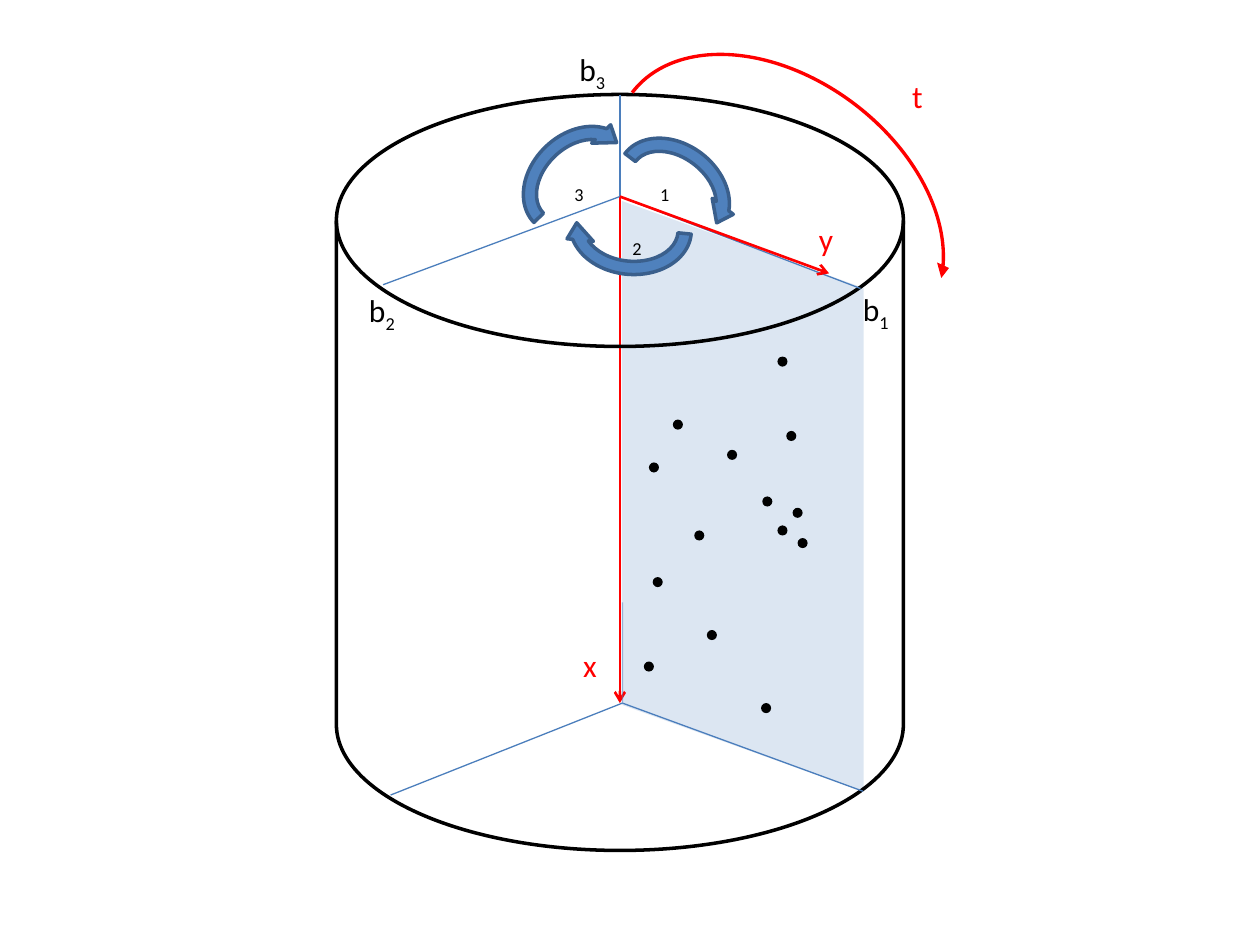
"""Build a slide with a cylinder split by three planes, its axes and its rotation."""
import lxml.etree
import pptx
import pptx.dml.color
import pptx.enum.shapes
import pptx.enum.text
import pptx.oxml.ns
import pptx.util

SHAPE = pptx.enum.shapes.MSO_SHAPE
PX = 9144
THEME = {
    "font": "Calibri", "size": 18,
    "black": "000000", "red": "FF0000", "plane": "95B3D7",
    "blue": "4F81BD", "blue_edge": "3A5F8C", "line": "4B7EBC",
    "outline_pt": 2, "axis_pt": 1.5, "line_pt": 0.75,
}

TOP, BOTTOM = (492, 156), (494, 558)
X_AXIS = (TOP, (492, 558))
Y_AXIS = (TOP, (658, 217))
PLANE = (355, 298, 469, 192)
CYLINDER = (267, 75, 450, 600)
TOP_LINES = [(TOP, (683, 229)), ((492, 75), TOP), ((304, 226), TOP)]
BASE_LINES = [(BOTTOM, (685, 628)), ((310, 631), BOTTOM)]
HIDDEN_LINE = ((494, 478), BOTTOM)
TURN_SIZE = (107, 84)
TURNS = [(481, 109, 37.1), (447, 139, 185.7), (405, 101, 316)]
TIME_ARROW = (467, 57, 302, 209)
TIME_ANGLE = 37.1
TIME_ADJUST = [0.013, 2.414, 206.08, 108, 0.025]
DOT = 8
DOTS = [
    (629, 403), (534, 333), (518, 458), (633, 427), (577, 357), (617, 283), (617, 417),
    (605, 394), (561, 500), (604, 558), (515, 367), (511, 525), (551, 421), (624, 342),
]
LABELS = [
    ("", "1", (514, 124, 29, 30), "black"),
    ("", "3", (446, 124, 29, 30), "black"),
    ("y", "", (640, 170, 32, 40), "red"),
    ("x", "", (453, 508, 31, 40), "red"),
    ("t", "", (714, 56, 29, 40), "red"),
    ("b", "1", (675, 225, 42, 40), "black"),
    ("", "2", (492, 167, 29, 30), "black"),
    ("b", "2", (283, 226, 42, 40), "black"),
    ("b", "3", (450, 35, 42, 40), "black"),
]


def emu(values):
    return [pptx.util.Emu(v * PX) for v in values]


def rgb(name):
    return pptx.dml.color.RGBColor.from_string(THEME[name])


def add_xml(parent, tag, **attributes):
    lxml.etree.SubElement(parent, pptx.oxml.ns.qn(tag), **attributes)


def set_alpha(parent, percent):
    color = next(parent.iter(pptx.oxml.ns.qn("a:srgbClr")))
    add_xml(color, "a:alpha", val=str(percent * 1000))


def add_shape(s, kind, box, fill=None, edge=None, angle=0, adjust=()):
    sp = s.shapes.add_shape(kind, *emu(box))
    sp.shadow.inherit = False
    sp.rotation = angle
    for i, value in enumerate(adjust):
        sp.adjustments[i] = value
    if fill:
        sp.fill.solid()
        sp.fill.fore_color.rgb = rgb(fill)
    else:
        sp.fill.background()
    if edge:
        sp.line.color.rgb = rgb(edge)
        sp.line.width = pptx.util.Pt(THEME["outline_pt"])
    else:
        sp.line.fill.background()
    return sp


def add_line(s, ends, color="line", width="line_pt", arrow=False):
    start, end = ends
    line = s.shapes.add_connector(
        pptx.enum.shapes.MSO_CONNECTOR.STRAIGHT, *emu(start + end))
    line.line.color.rgb = rgb(color)
    line.line.width = pptx.util.Pt(THEME[width])
    if arrow:
        add_xml(line.line._get_or_add_ln(), "a:tailEnd", type="arrow")
    add_xml(line._element.spPr, "a:effectLst")
    return line


def add_label(s, base, subscript, box, color):
    tf = s.shapes.add_textbox(*emu(box)).text_frame
    tf.word_wrap = False
    tf.auto_size = pptx.enum.text.MSO_AUTO_SIZE.SHAPE_TO_FIT_TEXT
    p = tf.paragraphs[0]
    p.font.name = THEME["font"]
    p.font.size = pptx.util.Pt(THEME["size"])
    p.font.color.rgb = rgb(color)
    if base:
        p.add_run().text = base
    if subscript:
        r = p.add_run()
        r.text = subscript
        r._r.get_or_add_rPr().set("baseline", "-25000")


def main():
    prs = pptx.Presentation()
    prs.slide_width, prs.slide_height = emu((1000, 750))
    s = prs.slides.add_slide(prs.slide_layouts[6])

    plane = add_shape(s, SHAPE.PARALLELOGRAM, PLANE, "plane", angle=90, adjust=[0.36])
    set_alpha(plane._element, 32)
    add_line(s, X_AXIS, "red", "axis_pt", arrow=True)
    add_shape(s, SHAPE.FLOWCHART_MAGNETIC_DISK, CYLINDER, edge="black")
    for ends in TOP_LINES + BASE_LINES:
        add_line(s, ends)
    set_alpha(add_line(s, HIDDEN_LINE)._element, 50)
    for x, y, angle in TURNS:
        add_shape(s, SHAPE.CIRCULAR_ARROW, (x, y, *TURN_SIZE), "blue", "blue_edge", angle)
    for x, y in DOTS:
        add_shape(s, SHAPE.FLOWCHART_CONNECTOR, (x, y, DOT, DOT), "black")
    add_line(s, Y_AXIS, "red", "axis_pt", arrow=True)
    add_shape(s, SHAPE.CIRCULAR_ARROW, TIME_ARROW, "red", angle=TIME_ANGLE, adjust=TIME_ADJUST)
    for label in LABELS:
        add_label(s, *label)
    prs.save("out.pptx")


if __name__ == "__main__":
    main()
